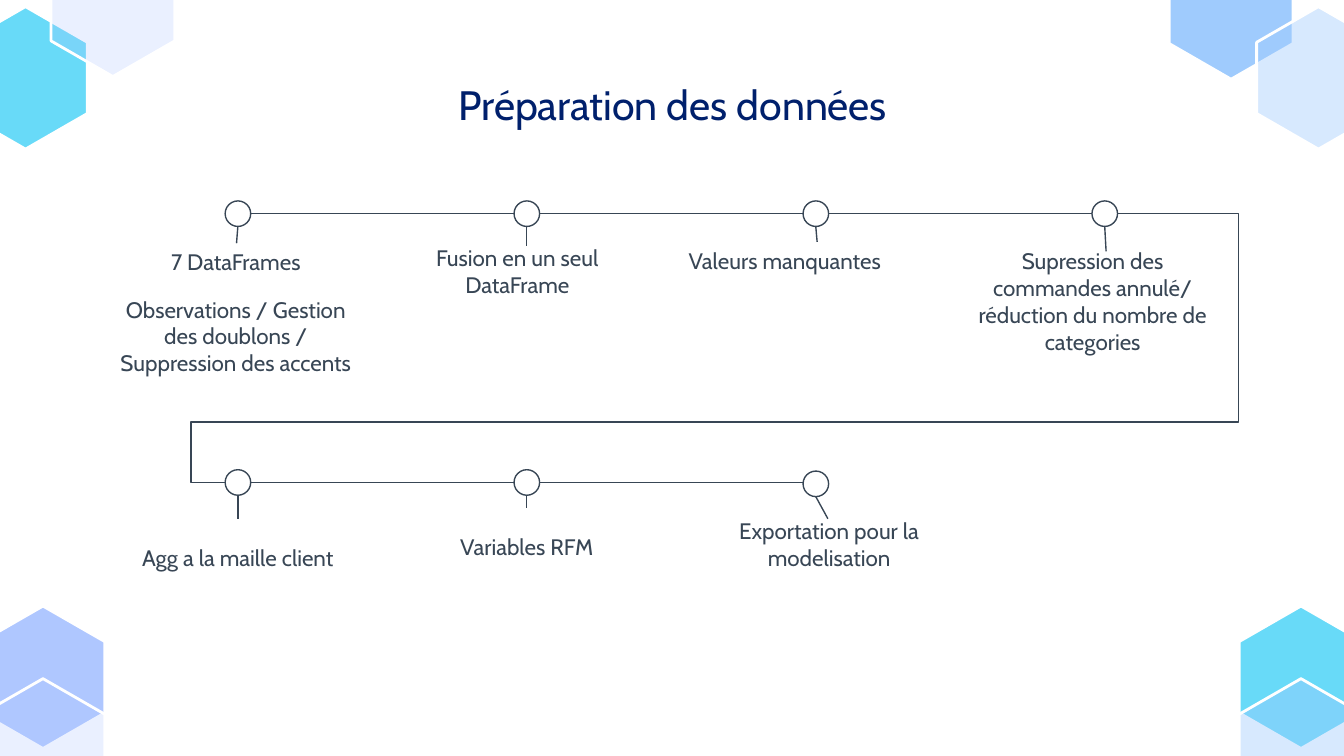
from lxml import etree
from pptx import Presentation
from pptx.dml.color import RGBColor
from pptx.enum.shapes import MSO_CONNECTOR as Connector, MSO_SHAPE as Shape
from pptx.enum.text import MSO_ANCHOR as Anchor, MSO_AUTO_SIZE as AutoSize, PP_ALIGN as Align
from pptx.oxml.ns import qn
from pptx.util import Inches, Pt

FONT = "Cabin"
COLORS = {
    "title": "00206C", "ink": "384655", "white": "FFFFFF",
    "lavender": "AFC7FF", "cyan": "68DAF8", "sky": "9FCBFD",
}
SLIDE_W = 10
SLIDE_H = SLIDE_W * 9 / 16
HEX_W, HEX_H = 0.92, 1.06
NODE, STEP = 0.19, 2.15  # circle diameter, distance between circle centres

# Each corner: (left, top, colour, opacity in percent), back to front
CORNERS = [
    [(-0.14, 4.51, "lavender", 100), (-0.14, 5.05, "lavender", 25)],
    [(-0.27, 0.05, "cyan", 100), (0.38, -0.49, "lavender", 25)],
    [(8.7, -0.47, "sky", 100), (9.35, 0.05, "sky", 41)],
    [(9.22, 4.51, "cyan", 100), (9.22, 5.05, "sky", 41)],
]

# Each step: circle offset, stem end, label box (from the circle's grid point), text
TOP_STEPS = [
    ((0, 0), (-0.01, 0.22), (-0.99, 0.22, 1.95, 0.34), "7 DataFrames"),
    ((0, 0), (0, 0.24), (-1, 0.39, 1.86, 0.34), "Fusion en un seul DataFrame"),
    ((0, 0), (0.01, 0.21), (-1.16, 0.21, 1.86, 0.34), "Valeurs manquantes"),
    ((0, 0), (0.01, 0.28), (-1.08, 0.13, 1.98, 1.02),
     "Supression des commandes annulé/ réduction du nombre de categories"),
]
BOTTOM_STEPS = [
    ((0, 0), (0, 0.27), (-0.99, 0.37, 1.98, 0.39), "Agg a la maille client"),
    ((0, 0), (0, 0.19), (-0.99, 0.19, 1.98, 0.49), "Variables RFM"),
    ((0, 0.01), (0.09, 0.27), (-0.89, 0.27, 1.98, 0.49),
     "Exportation pour la modelisation"),
]


def color(name):
    return RGBColor.from_string(COLORS[name])


def add_hexagon(slide, left, top, fill, opacity):
    corners = [(0.5, 0), (0, 0.25), (0, 0.75), (0.5, 1), (1, 0.75), (1, 0.25)]
    points = [(Inches(left + x * HEX_W), Inches(top + y * HEX_H)) for x, y in corners]
    builder = slide.shapes.build_freeform(*points[0])
    builder.add_line_segments(points[1:], close=True)
    hexagon = builder.convert_to_shape()
    hexagon.shadow.inherit = False
    hexagon.fill.solid()
    hexagon.fill.fore_color.rgb = color(fill)
    if opacity < 100:
        solid = hexagon._element.spPr.find(qn("a:solidFill"))
        etree.SubElement(solid[0], qn("a:alpha"), val=str(opacity * 1000))
    hexagon.line.color.rgb = color("white")
    hexagon.line.width = Pt(1.5)


def format_text(box, text, size, ink, anchor):
    frame = box.text_frame
    frame.text = text
    frame.word_wrap = True
    frame.auto_size = AutoSize.NONE
    frame.vertical_anchor = anchor
    frame.margin_left = frame.margin_right = Inches(0.1)
    frame.margin_top = frame.margin_bottom = Inches(0.1)
    para = frame.paragraphs[0]
    para.alignment = Align.CENTER
    para.font.name = FONT
    para.font.size = Pt(size)
    para.font.color.rgb = color(ink)


def add_title(slide, left, top, width, height):
    title = slide.shapes.title
    title.left, title.top = Inches(left), Inches(top)
    title.width, title.height = Inches(width), Inches(height)
    format_text(title, "Préparation des données", 22, "title", Anchor.TOP)


def add_label(slide, left, top, width, height, text, anchor=Anchor.BOTTOM):
    box = slide.shapes.add_textbox(Inches(left), Inches(top), Inches(width), Inches(height))
    format_text(box, text, 12, "ink", anchor)


def add_line(slide, start, end, kind=Connector.STRAIGHT):
    x1, y1, x2, y2 = (Inches(value) for value in (*start, *end))
    line = slide.shapes.add_connector(kind, x1, y1, x2, y2)
    line.line.color.rgb = color("ink")
    line.line.width = Pt(0.75)
    etree.SubElement(line._element.spPr, qn("a:effectLst"))
    return line


def add_node(slide, x, y):
    node = slide.shapes.add_shape(
        Shape.OVAL, Inches(x - NODE / 2), Inches(y - NODE / 2), Inches(NODE), Inches(NODE))
    node.shadow.inherit = False
    node.fill.background()
    node.line.color.rgb = color("ink")
    node.line.width = Pt(0.75)


def add_row(slide, left, top, steps):
    """Draw a row of steps; left, top is the centre of the first circle."""
    for index, ((dx, dy), (stem_x, stem_y), label, text) in enumerate(steps):
        x = left + index * STEP
        add_node(slide, x + dx, top + dy)
        add_line(slide, (x + dx, top + dy + NODE / 2), (x + stem_x, top + stem_y))
        label_x, label_y, width, height = label
        add_label(slide, x + label_x, top + label_y, width, height, text)
        if index:
            add_line(slide, (x - STEP + NODE / 2, top), (x - NODE / 2, top))


def add_return_path(slide, start, end, right, middle, left):
    """Link the end of one row to the start of the next with five segments."""
    link = add_line(slide, start, end, Connector.ELBOW)
    width, height = start[0] - end[0], end[1] - start[1]
    ratios = [(start[0] - right) / width, (middle - start[1]) / height,
              (start[0] - left) / width]
    geometry = link._element.spPr.find(qn("a:prstGeom"))
    geometry.set("prst", "bentConnector5")
    guides = geometry.find(qn("a:avLst"))
    if guides is None:
        guides = etree.SubElement(geometry, qn("a:avLst"))
    for number, ratio in enumerate(ratios, 1):
        etree.SubElement(guides, qn("a:gd"), name=f"adj{number}",
                         fmla=f"val {round(ratio * 100000)}")


def main():
    deck = Presentation()
    deck.slide_width, deck.slide_height = Inches(SLIDE_W), Inches(SLIDE_H)
    slide = deck.slides.add_slide(deck.slide_layouts[5])

    # Corner decoration
    for corner in CORNERS:
        for hexagon in corner:
            add_hexagon(slide, *hexagon)

    add_title(slide, 0.79, 0.49, 8.43, 0.63)

    # Timeline
    left, top, bottom = 1.77, 1.59, 3.59
    add_row(slide, left, top, TOP_STEPS)
    add_label(slide, 0.75, 2.1, 2.01, 0.75,
              "Observations / Gestion des doublons / Suppression des accents", Anchor.TOP)
    add_row(slide, left, bottom, BOTTOM_STEPS)
    add_return_path(slide, (left + 3 * STEP + NODE / 2, top), (left - NODE / 2, bottom),
                    right=9.22, middle=3.14, left=1.42)

    deck.save("out.pptx")


if __name__ == "__main__":
    main()
